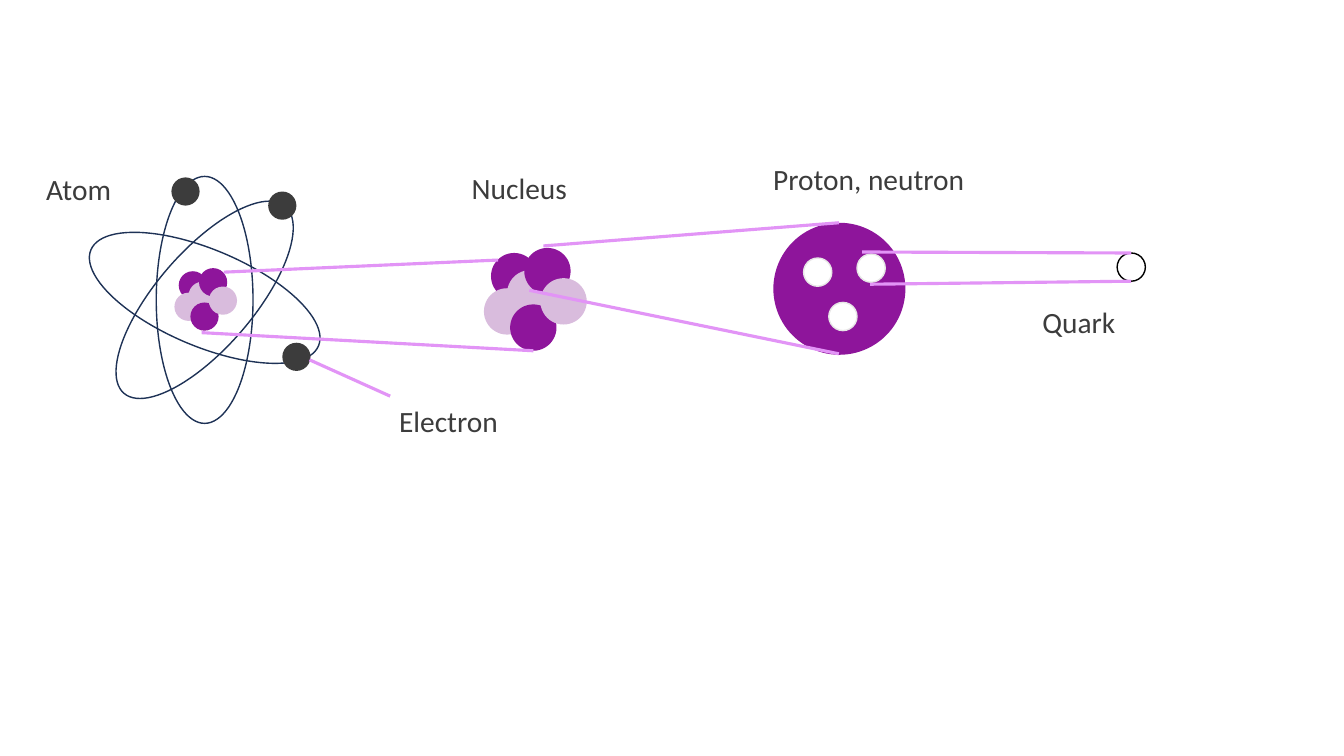
from lxml.etree import SubElement
from pptx import Presentation
from pptx.dml.color import RGBColor
from pptx.enum.shapes import MSO_CONNECTOR as Connector, MSO_SHAPE as Shape
from pptx.oxml.ns import qn
from pptx.util import Inches, Pt

PURPLE = RGBColor(0x8E, 0x15, 0x9B)
LILAC = RGBColor(0xD9, 0xBC, 0xDD)
PINK = RGBColor(0xE2, 0x94, 0xF6)
NAVY = RGBColor(0x1E, 0x32, 0x56)
CHARCOAL = RGBColor(0x3C, 0x3C, 0x3C)
PALE_GREY = RGBColor(0xE7, 0xE6, 0xE6)
WHITE = RGBColor(0xFF, 0xFF, 0xFF)
BLACK = RGBColor(0, 0, 0)

LABELS = [
    ("Atom", 0.36, 1.65, 1.51),
    ("Electron", 3.86, 3.95, 1.51),
    ("Nucleus", 4.58, 1.64, 1.51),
    ("Proton, neutron", 7.57, 1.55, 2.43),
    ("Quark", 10.24, 2.97, 2.43),
]
LABEL_HEIGHT = 0.45

SMALL = 0.28
NUCLEON = 0.46
PROTON = 1.31
ORBIT_WIDTH, ORBIT_HEIGHT = 0.96, 2.45
TILTED_ORBITS = [(1.75, 40.8), (1.73, 112.9)]
ELECTRONS = [(2.66, 1.9), (2.8, 3.4), (1.7, 1.76)]
QUARKS = [(8.5, 2.52), (8.22, 3), (7.97, 2.56)]

NUCLEONS = [(0.07, 0.05), (0.23, 0.22), (0.4, 0), (0, 0.4), (0.26, 0.56), (0.56, 0.3)]
NUCLEI = [(4.8, 2.46, 1), (1.73, 2.66, SMALL / NUCLEON)]

ZOOM_LINES = [
    (2.22, 2.7, 4.94, 2.58),
    (2, 3.3, 5.29, 3.48),
    (5.25, 2.88, 8.32, 3.51),
    (5.39, 2.44, 8.32, 2.21),
    (8.55, 2.5, 11.22, 2.51),
    (8.63, 2.82, 11.22, 2.79),
    (3.07, 3.57, 3.87, 3.93),
]


def add_ellipse(shapes, left, top, width, height, fill=None, line=None):
    ellipse = shapes.add_shape(Shape.OVAL, *map(Inches, (left, top, width, height)))
    ellipse.shadow.inherit = False
    if fill is None:
        ellipse.fill.background()
    else:
        ellipse.fill.solid()
        ellipse.fill.fore_color.rgb = fill
    if line is None:
        ellipse.line.fill.background()
    else:
        ellipse.line.color.rgb = line
        ellipse.line.width = Pt(1)
    return ellipse


def add_ball(shapes, left, top, size, fill, line=None):
    add_ellipse(shapes, left, top, size, size, fill, line)


def add_orbit(shapes, top, angle):
    orbit = add_ellipse(shapes, 1.55, top, ORBIT_WIDTH, ORBIT_HEIGHT, line=NAVY)
    orbit.rotation = angle


def add_nucleus(shapes, left, top, scale):
    group = shapes.add_group_shape()
    for index, (across, down) in enumerate(NUCLEONS):
        fill = LILAC if index % 2 else PURPLE
        add_ball(group.shapes, left + across * scale, top + down * scale,
                 NUCLEON * scale, fill)


def add_zoom_line(shapes, ends):
    line = shapes.add_connector(Connector.STRAIGHT, *map(Inches, ends))
    line.line.color.rgb = PINK
    line.line.width = Pt(2.25)
    SubElement(line._element.spPr, qn("a:effectLst"))


def add_label(shapes, text, left, top, width):
    box = shapes.add_textbox(*map(Inches, (left, top, width, LABEL_HEIGHT)))
    box.text_frame.word_wrap = True
    para = box.text_frame.paragraphs[0]
    para.text = text
    para.font.name = "Calibri"
    para.font.size = Pt(21)
    para.font.color.rgb = CHARCOAL


def main():
    deck = Presentation()
    deck.slide_width, deck.slide_height = Inches(13.33), Inches(7.5)
    shapes = deck.slides.add_slide(deck.slide_layouts[6]).shapes

    add_orbit(shapes, 1.75, 0)
    for nucleus in NUCLEI:
        add_nucleus(shapes, *nucleus)
    for orbit in TILTED_ORBITS:
        add_orbit(shapes, *orbit)
    for electron in ELECTRONS:
        add_ball(shapes, *electron, SMALL, CHARCOAL)

    add_ball(shapes, 7.67, 2.21, PROTON, PURPLE)
    for quark in QUARKS:
        add_ball(shapes, *quark, SMALL, WHITE, PALE_GREY)
    add_ball(shapes, 11.08, 2.51, SMALL, WHITE, BLACK)

    for ends in ZOOM_LINES:
        add_zoom_line(shapes, ends)
    for label in LABELS:
        add_label(shapes, *label)
    deck.save("out.pptx")


if __name__ == "__main__":
    main()
